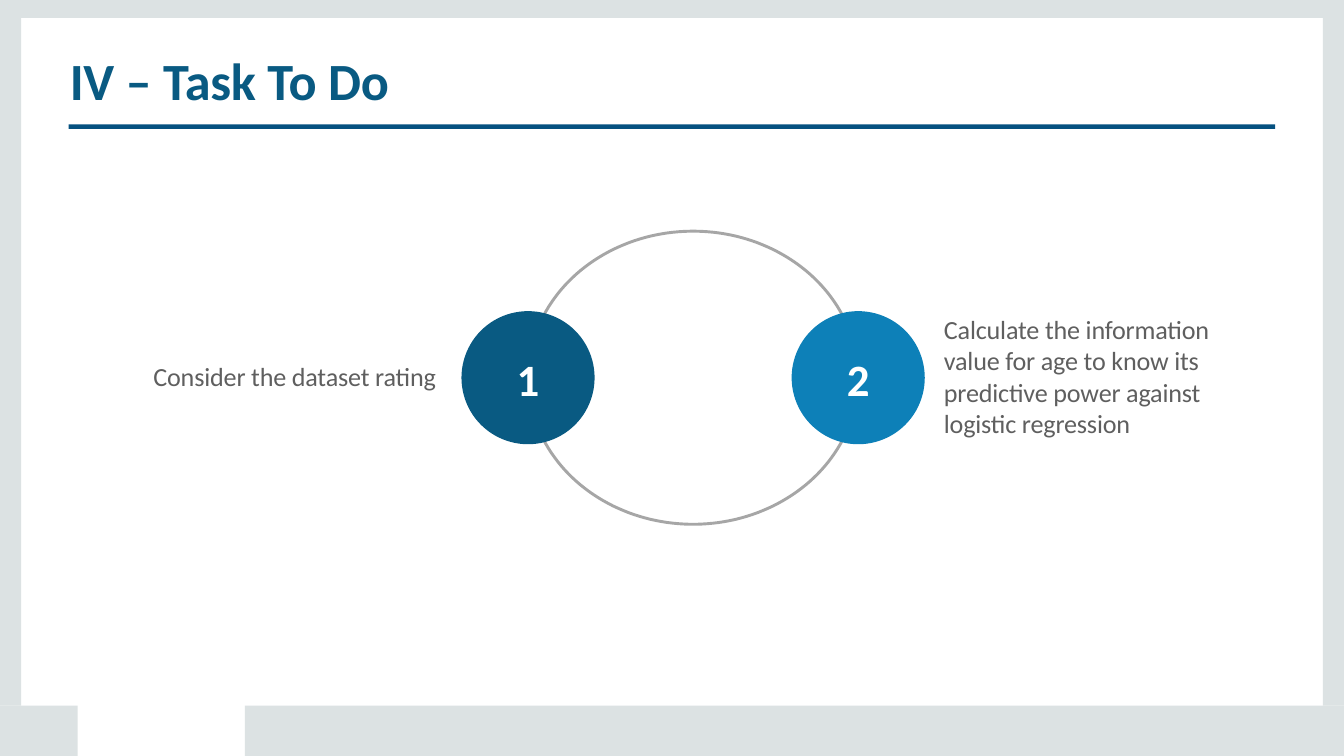
"""Build the task slide: two numbered steps joined by a ring."""
from math import cos, radians, sin

from pptx import Presentation
from pptx.dml.color import RGBColor
from pptx.enum.shapes import MSO_SHAPE as Shape
from pptx.enum.text import MSO_ANCHOR as Anchor, PP_ALIGN as Align
from pptx.util import Cm, Pt

NAVY = RGBColor(0x09, 0x5A, 0x82)
RULE_BLUE = RGBColor(0x05, 0x51, 0x80)
BLUE = RGBColor(0x0D, 0x80, 0xB8)
FRAME_GREY = RGBColor(0xDC, 0xE2, 0xE3)
RING_GREY = RGBColor(0xA6, 0xA6, 0xA6)
TEXT_GREY = RGBColor(0x5F, 0x5F, 0x5F)
WHITE = RGBColor(0xFF, 0xFF, 0xFF)

FONT = "Calibri"
WIDTH, HEIGHT = 25.4, 14.29
SIDE, TOP, BOTTOM = 0.4, 0.34, 13.34
NOTCH_LEFT, NOTCH_RIGHT = 1.47, 4.63

TITLE = ("IV – Task To Do", (1.32, 0.89, 6.5, 1.24))
STEPS = [
    ("1", NAVY, "Consider the dataset rating", (2.9, 6.78, 5.6, 0.66)),
    ("2", BLUE, "Calculate the information value for age to know its "
     "predictive power against logistic regression", (17.84, 5.89, 5.2, 2.44)),
]
FRAME = [
    (0, 0, WIDTH, TOP),
    (0, TOP, SIDE, BOTTOM - TOP),
    (WIDTH - SIDE, TOP, SIDE, BOTTOM - TOP),
    (0, BOTTOM, NOTCH_LEFT, HEIGHT - BOTTOM),
    (NOTCH_RIGHT, BOTTOM, WIDTH - NOTCH_RIGHT, HEIGHT - BOTTOM),
]
RULE = (1.3, 2.35, 22.8, 0.09)
CENTER_X, CENTER_Y = 13.1, 7.14
RING_RX, RING_RY = 3.12, 2.77
CIRCLE_DIAMETER = 2.41
ARC_START, ARC_END, ARC_STEP = 25, 155, 2


def add_filled(slide, kind, box, color):
    shape = slide.shapes.add_shape(kind, *map(Cm, box))
    shape.shadow.inherit = False
    shape.fill.solid()
    shape.fill.fore_color.rgb = color
    shape.line.fill.background()
    return shape


def write(shape, text, size, color, bold=False, spacing=0):
    frame = shape.text_frame
    frame.word_wrap = True
    frame.margin_left = frame.margin_right = frame.margin_bottom = 0
    frame.margin_top = Cm(0.03)
    paragraph = frame.paragraphs[0]
    paragraph.text = text
    paragraph.space_before = Pt(1)
    font = paragraph.font
    font.name, font.size, font.bold = FONT, Pt(size), bold
    font.color.rgb = color
    for run in paragraph.runs:
        run._r.get_or_add_rPr().set("spc", str(spacing))
    return paragraph


def add_arc(slide, direction):
    points = [
        (Cm(CENTER_X + RING_RX * cos(radians(angle))),
         Cm(CENTER_Y + direction * RING_RY * sin(radians(angle))))
        for angle in range(ARC_START, ARC_END + 1, ARC_STEP)
    ]
    builder = slide.shapes.build_freeform(*points[0])
    builder.add_line_segments(points[1:], close=False)
    arc = builder.convert_to_shape()
    arc.shadow.inherit = False
    arc.fill.background()
    arc.line.color.rgb = RING_GREY
    arc.line.width = Pt(1.56)


def add_step(slide, center_x, number, color, text, box):
    radius = CIRCLE_DIAMETER / 2
    circle = add_filled(slide, Shape.OVAL, (
        center_x - radius, CENTER_Y - radius, CIRCLE_DIAMETER, CIRCLE_DIAMETER), color)
    circle.line.color.rgb = color
    circle.line.width = Pt(3)
    write(circle, number, 24, WHITE, bold=True).alignment = Align.CENTER
    circle.text_frame.vertical_anchor = Anchor.MIDDLE
    write(slide.shapes.add_textbox(*map(Cm, box)), text, 14, TEXT_GREY, spacing=-10)


def main():
    presentation = Presentation()
    presentation.slide_width, presentation.slide_height = Cm(WIDTH), Cm(HEIGHT)
    slide = presentation.slides.add_slide(presentation.slide_layouts[6])
    for bar in FRAME:
        add_filled(slide, Shape.RECTANGLE, bar, FRAME_GREY)
    add_filled(slide, Shape.RECTANGLE, RULE, RULE_BLUE)
    title, title_box = TITLE
    write(slide.shapes.add_textbox(*map(Cm, title_box)), title, 28, NAVY,
          bold=True, spacing=-10)
    for direction in (1, -1):
        add_arc(slide, direction)
    for side, step in zip((-1, 1), STEPS):
        add_step(slide, CENTER_X + side * RING_RX, *step)
    presentation.save("out.pptx")


if __name__ == "__main__":
    main()
